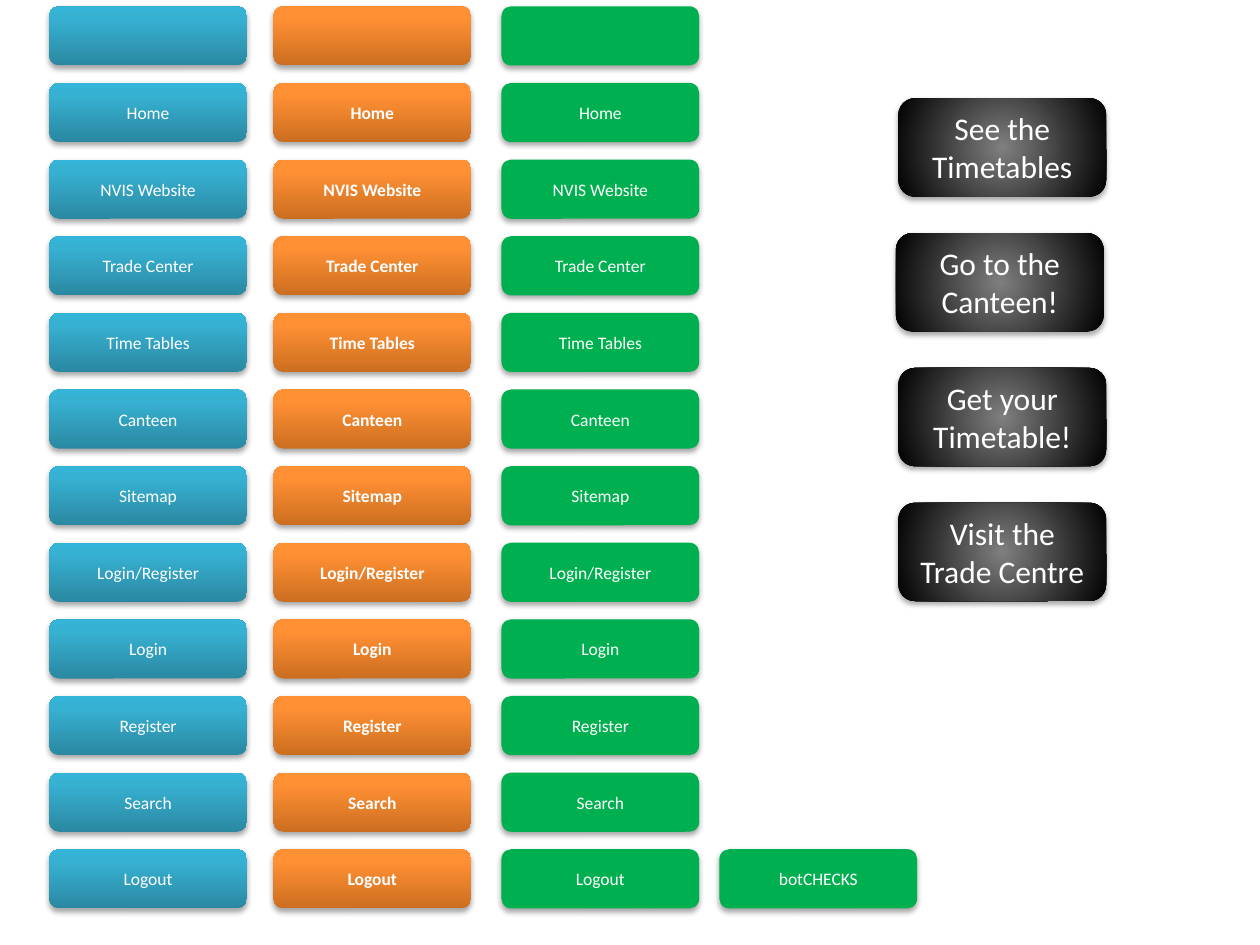
import pptx
import pptx.dml.color
import pptx.enum.shapes
import pptx.enum.text
import pptx.oxml
import pptx.oxml.ns
import pptx.util

RGB = pptx.dml.color.RGBColor
WHITE = RGB(0xFF, 0xFF, 0xFF)
GREEN = RGB(0x00, 0xB0, 0x50)
BLUES = [(0, RGB(0x2A, 0x88, 0xA2)), (80, RGB(0x37, 0xB1, 0xD2)), (100, RGB(0x34, 0xB4, 0xD6))]
ORANGES = [(0, RGB(0xCC, 0x6E, 0x20)), (80, RGB(0xFF, 0x90, 0x34)), (100, RGB(0xFF, 0x91, 0x36))]
GREYS = [(0, RGB(0x7F, 0x7F, 0x7F)), (100, RGB(0x00, 0x00, 0x00))]

UPWARD = '<a:lin ang="16200000" scaled="0"/>'
RADIAL = '<a:path path="circle"><a:fillToRect l="50000" t="50000" r="50000" b="50000"/></a:path>'

MENU = ["", "Home", "NVIS Website", "Trade Center", "Time Tables", "Canteen", "Sitemap",
        "Login/Register", "Login", "Register", "Search", "Logout"]
COLUMNS = [(0.39, BLUES, False), (2.17, ORANGES, True), (3.98, GREEN, False)]
MENU_TOP, MENU_PITCH, MENU_SIZE = 0.05, 6.69 / 11, (1.57, 0.47)
CAPTCHA_LEFT = 5.71

LINKS = [(7.13, "See the Timetables"), (7.11, "Go to the Canteen!"),
         (7.13, "Get your Timetable!"), (7.13, "Visit the Trade Centre")]
LINK_TOP, LINK_PITCH, LINK_SIZE = 0.78, 1.07, (1.65, 0.78)


def parse_drawing(xml):
    ns = pptx.oxml.ns.nsdecls("a")
    return pptx.oxml.parse_xml(xml.replace(">", f" {ns}>", 1))


def set_gradient(sp, stops, direction):
    gs = "".join(f'<a:gs pos="{pos * 1000}"><a:srgbClr val="{color}"/></a:gs>'
                 for pos, color in stops)
    grad = parse_drawing(f'<a:gradFill rotWithShape="1"><a:gsLst>{gs}</a:gsLst>{direction}</a:gradFill>')
    sp._element.spPr.find(pptx.oxml.ns.qn("a:prstGeom")).addnext(grad)


def set_shadow(sp):
    sp.shadow.inherit = False
    effects = sp._element.spPr.find(pptx.oxml.ns.qn("a:effectLst"))
    effects.append(parse_drawing(
        '<a:outerShdw blurRad="40000" dist="23000" dir="5400000" rotWithShape="0">'
        '<a:srgbClr val="000000"><a:alpha val="35000"/></a:srgbClr></a:outerShdw>'))


def add_button(slide, left, top, size, fill, direction=UPWARD):
    box = [pptx.util.Inches(v) for v in (left, top, *size)]
    sp = slide.shapes.add_shape(pptx.enum.shapes.MSO_SHAPE.ROUNDED_RECTANGLE, *box)
    sp.line.fill.background()
    if isinstance(fill, RGB):
        sp.fill.solid()
        sp.fill.fore_color.rgb = fill
    else:
        set_gradient(sp, fill, direction)
    set_shadow(sp)
    return sp


def add_label(sp, text, size, bold=False):
    tf = sp.text_frame
    tf.word_wrap = True
    p = tf.paragraphs[0]
    p.alignment = pptx.enum.text.PP_ALIGN.CENTER
    r = p.add_run()
    r.text = text
    r.font.name = "Calibri"
    r.font.size = pptx.util.Pt(size)
    r.font.bold = bold
    r.font.color.rgb = WHITE
    return tf


def add_menu_button(slide, left, row, text, fill, bold=False):
    sp = add_button(slide, left, MENU_TOP + row * MENU_PITCH, MENU_SIZE, fill)
    if text:
        tf = add_label(sp, text, 10, bold)
        tf.vertical_anchor = pptx.enum.text.MSO_ANCHOR.MIDDLE


def add_link_button(slide, left, row, text):
    sp = add_button(slide, left, LINK_TOP + row * LINK_PITCH, LINK_SIZE, GREYS, RADIAL)
    tf = add_label(sp, text, 18)
    tf.vertical_anchor = pptx.enum.text.MSO_ANCHOR.TOP
    tf.auto_size = pptx.enum.text.MSO_AUTO_SIZE.SHAPE_TO_FIT_TEXT


def main():
    prs = pptx.Presentation()
    prs.slide_width = pptx.util.Inches(10)
    prs.slide_height = pptx.util.Inches(7.5)
    slide = prs.slides.add_slide(prs.slide_layouts[6])
    for left, fill, bold in COLUMNS:
        for row, text in enumerate(MENU):
            add_menu_button(slide, left, row, text, fill, bold)
    add_menu_button(slide, CAPTCHA_LEFT, len(MENU) - 1, "botCHECKS", GREEN)
    for row, (left, text) in enumerate(LINKS):
        add_link_button(slide, left, row, text)
    prs.save("out.pptx")


if __name__ == "__main__":
    main()
